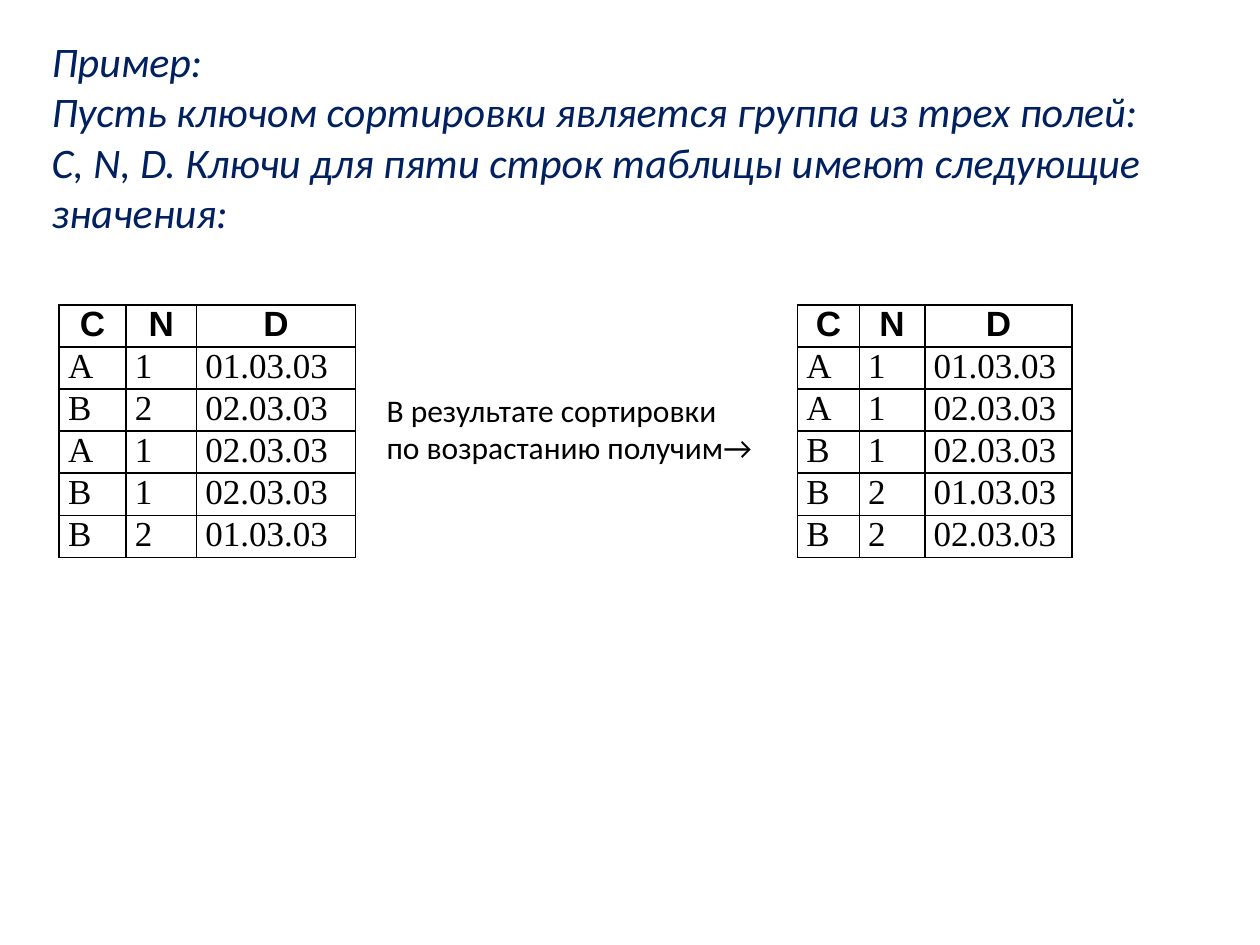
from dataclasses import dataclass

from lxml import etree
from pptx import Presentation, util as u
from pptx.dml.color import RGBColor
from pptx.enum import text
from pptx.oxml import ns


@dataclass(frozen=True)
class Theme:
    navy: str = "002060"
    black: str = "000000"
    body_font: str = "Calibri"
    header_font: str = "Arial"
    cell_font: str = "Times New Roman"
    intro_size: int = 24
    caption_size: int = 18
    cell_size: int = 20
    border: int = 1


class SlideBuilder:
    COLUMNS, ROWS = 100, 75

    def __init__(self, deck, theme):
        self.theme = theme
        self.unit_x = deck.slide_width / self.COLUMNS
        self.unit_y = deck.slide_height / self.ROWS
        self.slide = deck.slides.add_slide(deck.slide_layouts[5])

    def area(self, column, row, columns, rows):
        return (round(column * self.unit_x), round(row * self.unit_y),
                round(columns * self.unit_x), round(rows * self.unit_y))

    def add_words(self, paragraph, words, font, size, color, bold=False, italic=False):
        run = paragraph.add_run()
        run.text = words
        run.font.name = font
        run.font.size = u.Pt(size)
        run.font.bold = bold
        run.font.italic = italic
        run.font.color.rgb = RGBColor.from_string(color)

    def fit(self, frame):
        frame.word_wrap = True
        frame.vertical_anchor = text.MSO_ANCHOR.TOP
        frame.auto_size = text.MSO_AUTO_SIZE.SHAPE_TO_FIT_TEXT

    def intro(self, lines, *place):
        title = self.slide.shapes.title
        title.left, title.top, title.width, title.height = self.area(*place)
        frame = title.text_frame
        self.fit(frame)
        for index, line in enumerate(lines):
            paragraph = frame.add_paragraph() if index else frame.paragraphs[0]
            paragraph.alignment = text.PP_ALIGN.LEFT
            self.add_words(paragraph, line, self.theme.body_font, self.theme.intro_size,
                           self.theme.navy, italic=True)

    def caption(self, words, *place):
        frame = self.slide.shapes.add_textbox(*self.area(*place)).text_frame
        self.fit(frame)
        self.add_words(frame.paragraphs[0], words, self.theme.body_font,
                       self.theme.caption_size, self.theme.black)

    def outline(self, cell):
        properties = cell._tc.get_or_add_tcPr()
        for side in ("lnL", "lnR", "lnT", "lnB"):
            line = etree.SubElement(properties, ns.qn(f"a:{side}"),
                                    w=str(u.Pt(self.theme.border)))
            fill = etree.SubElement(line, ns.qn("a:solidFill"))
            etree.SubElement(fill, ns.qn("a:srgbClr"), val=self.theme.black)

    def fill_cell(self, cell, words, is_header):
        self.outline(cell)
        cell.fill.background()
        cell.margin_left = cell.margin_right = u.Inches(0.07)
        cell.margin_top = cell.margin_bottom = 0
        paragraph = cell.text_frame.paragraphs[0]
        if is_header:
            paragraph.alignment = text.PP_ALIGN.CENTER
        else:
            paragraph.alignment = text.PP_ALIGN.JUSTIFY
            paragraph.space_after = u.Pt(6)
        font = self.theme.header_font if is_header else self.theme.cell_font
        self.add_words(paragraph, words, font, self.theme.cell_size, self.theme.black,
                       bold=is_header)

    def key_table(self, records, column, row, widths, rows):
        place = self.area(column, row, sum(widths), rows)
        table = self.slide.shapes.add_table(len(records), len(widths), *place).table
        table.horz_banding = False
        for table_column, width in zip(table.columns, widths):
            table_column.width = round(width * self.unit_x)
        for row_index, record in enumerate(records):
            for column_index, words in enumerate(record):
                self.fill_cell(table.cell(row_index, column_index), words, row_index == 0)


def main():
    deck = Presentation()
    deck.slide_width, deck.slide_height = u.Inches(10), u.Inches(7.5)
    header = ("C", "N", "D")
    keys = [
        ("A", "1", "01.03.03"),
        ("B", "2", "02.03.03"),
        ("A", "1", "02.03.03"),
        ("B", "1", "02.03.03"),
        ("B", "2", "01.03.03"),
    ]

    builder = SlideBuilder(deck, Theme())
    builder.intro([
        "Пример:",
        "Пусть ключом сортировки является группа из трех полей: C, N, D. "
        "Ключи для пяти строк таблицы имеют следующие значения:",
    ], 3.1, 2.3, 90.6, 17.2)
    builder.key_table([header, *keys], 4.7, 24.2, (5.3, 5.6, 12.6), 20)
    builder.caption("В результате сортировки по возрастанию получим→",
                    29.7, 30.5, 31.3, 7.1)
    builder.key_table([header, *sorted(keys)], 63.3, 24.2, (4.9, 5.2, 11.7), 20)
    deck.save("out.pptx")


if __name__ == "__main__":
    main()
